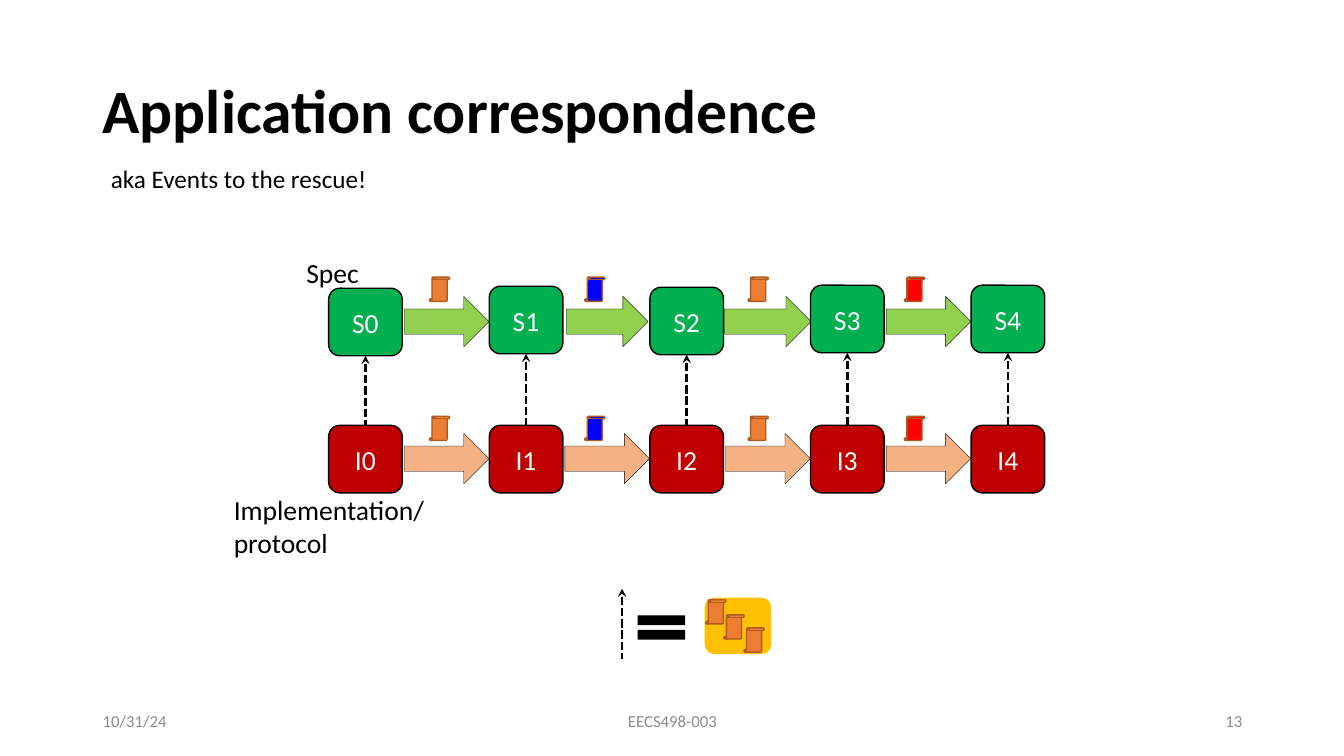
from lxml import etree
from pptx import Presentation
from pptx.dml.color import RGBColor
from pptx.enum.dml import MSO_LINE
from pptx.enum.shapes import MSO_CONNECTOR, MSO_SHAPE
from pptx.enum.text import MSO_ANCHOR, PP_ALIGN
from pptx.oxml.ns import qn
from pptx.util import Inches, Pt

BLACK = RGBColor(0x00, 0x00, 0x00)
OFF_WHITE = RGBColor(0xFA, 0xFA, 0xFA)
GRAY = RGBColor(0x8C, 0x8C, 0x8C)
GREEN = RGBColor(0x00, 0xB0, 0x50)
LIGHT_GREEN = RGBColor(0x92, 0xD0, 0x50)
DARK_RED = RGBColor(0xC0, 0x00, 0x00)
PEACH = RGBColor(0xF4, 0xB1, 0x83)
ORANGE = RGBColor(0xED, 0x7D, 0x31)
BROWN = RGBColor(0xAF, 0x5C, 0x24)
BLUE = RGBColor(0x00, 0x00, 0xFF)
RED = RGBColor(0xFF, 0x00, 0x00)
GOLD = RGBColor(0xFF, 0xC0, 0x00)

ROUNDED = MSO_SHAPE.ROUNDED_RECTANGLE
DOWN_ARROW = MSO_SHAPE.DOWN_ARROW
SCROLL = MSO_SHAPE.VERTICAL_SCROLL
EQUALS = MSO_SHAPE.MATH_EQUAL
STRAIGHT = MSO_CONNECTOR.STRAIGHT
DASHED = MSO_LINE.SQUARE_DOT
TOP, MIDDLE = MSO_ANCHOR.TOP, MSO_ANCHOR.MIDDLE
LEFT, CENTER, RIGHT = PP_ALIGN.LEFT, PP_ALIGN.CENTER, PP_ALIGN.RIGHT

presentation = Presentation()
presentation.slide_width = Inches(13.33)
presentation.slide_height = Inches(7.5)
slide = presentation.slides.add_slide(presentation.slide_layouts[6])


def add_shape(kind, left, top, width, height, fill, line=None, line_width=1):
    shape = slide.shapes.add_shape(
        kind, Inches(left), Inches(top), Inches(width), Inches(height))
    shape.shadow.inherit = False
    shape.fill.solid()
    shape.fill.fore_color.rgb = fill
    if line is None:
        shape.line.fill.background()
    else:
        shape.line.color.rgb = line
        shape.line.width = Pt(line_width)
    return shape


def write(shape, text, size, color, align=LEFT, anchor=TOP):
    frame = shape.text_frame
    frame.word_wrap = True
    frame.vertical_anchor = anchor
    paragraph = frame.paragraphs[0]
    paragraph.text = text
    paragraph.alignment = align
    paragraph.font.name = "Calibri"
    paragraph.font.size = Pt(size)
    paragraph.font.color.rgb = color
    return paragraph


# Title, labels and footer
texts = [
    ("Application correspondence", 0.92, 0.4, 11.5, 1.45, 44, BLACK, LEFT, MIDDLE),
    ("aka Events to the rescue!", 1, 1.57, 5.81, 0.4, 18, BLACK, LEFT, TOP),
    ("Spec", 2.94, 2.49, 0.8, 0.43, 19.7, BLACK, LEFT, TOP),
    ("Implementation/\vprotocol", 2.22, 4.84, 3.01, 0.77, 19.7, BLACK, LEFT, TOP),
    ("10/31/24", 0.92, 6.95, 3, 0.4, 12, GRAY, LEFT, MIDDLE),
    ("EECS498-003", 4.42, 6.95, 4.5, 0.4, 12, GRAY, CENTER, MIDDLE),
    ("13", 9.42, 6.95, 3, 0.4, 12, GRAY, RIGHT, MIDDLE),
]
for text, left, top, width, height, size, color, align, anchor in texts:
    box = slide.shapes.add_textbox(
        Inches(left), Inches(top), Inches(width), Inches(height))
    paragraph = write(box, text, size, color, align, anchor)
    if size == 44:
        paragraph.font.bold = True
        paragraph.line_spacing = 0.9

# State chains: blocks, transition arrows and event scrolls
STEP = 1.593
chains = [
    ("S", [2.86, 2.84, 2.85, 2.83, 2.83], GREEN, LIGHT_GREEN,
     3.19, [0.84, 0.81, 0.86, 0.84], 2.75),
    ("I", [4.22] * 5, DARK_RED, PEACH, 4.55, [0.84] * 4, 4.13),
]
events = [(4.26, ORANGE), (5.8, BLUE), (7.42, ORANGE), (8.97, RED)]
blocks = {}
for letter, tops, block_color, arrow_color, middle, lengths, scroll_top in chains:
    for index, length in enumerate(lengths):
        arrow_center = 4.43 + index * STEP
        arrow = add_shape(DOWN_ARROW, arrow_center - 0.25, middle - length / 2,
                          0.5, length, arrow_color, BLACK, 0.25)
        arrow.rotation = 270
    blocks[letter] = []
    for index, top in enumerate(tops):
        block = add_shape(ROUNDED, 3.26 + index * STEP, top, 0.73, 0.67,
                          block_color, BLACK)
        write(block, f"{letter}{index}", 19.7, OFF_WHITE, CENTER, MIDDLE)
        block.text_frame.margin_left = block.text_frame.margin_right = 0
        blocks[letter].append(block)
    for left, color in events:
        add_shape(SCROLL, left, scroll_top, 0.2, 0.24, color, BROWN)

# Legend: the dashed arrow equals a list of events
add_shape(ROUNDED, 6.99, 5.93, 0.66, 0.56, GOLD)
for left, top in [(7, 5.95), (7.18, 6.1), (7.38, 6.23)]:
    add_shape(SCROLL, left, top, 0.2, 0.24, ORANGE, BROWN)
add_shape(EQUALS, 6.24, 6.02, 0.64, 0.41, BLACK)

# Dashed arrows from implementation to spec, and the legend arrow
links = [slide.shapes.add_connector(
    STRAIGHT, Inches(6.17), Inches(5.84), Inches(6.17), Inches(6.54))]
for spec_block, implementation_block in zip(blocks["S"], blocks["I"]):
    link = slide.shapes.add_connector(STRAIGHT, 0, 0, 0, 0)
    link.begin_connect(spec_block, 2)
    link.end_connect(implementation_block, 0)
    links.append(link)
for link in links:
    link.line.color.rgb = BLACK
    link.line.width = Pt(2)
    link.line.dash_style = DASHED
    properties = link.line._get_or_add_ln()
    etree.SubElement(properties, qn("a:headEnd"), type="stealth")
    etree.SubElement(properties.getparent(), qn("a:effectLst"))

presentation.save("out.pptx")
